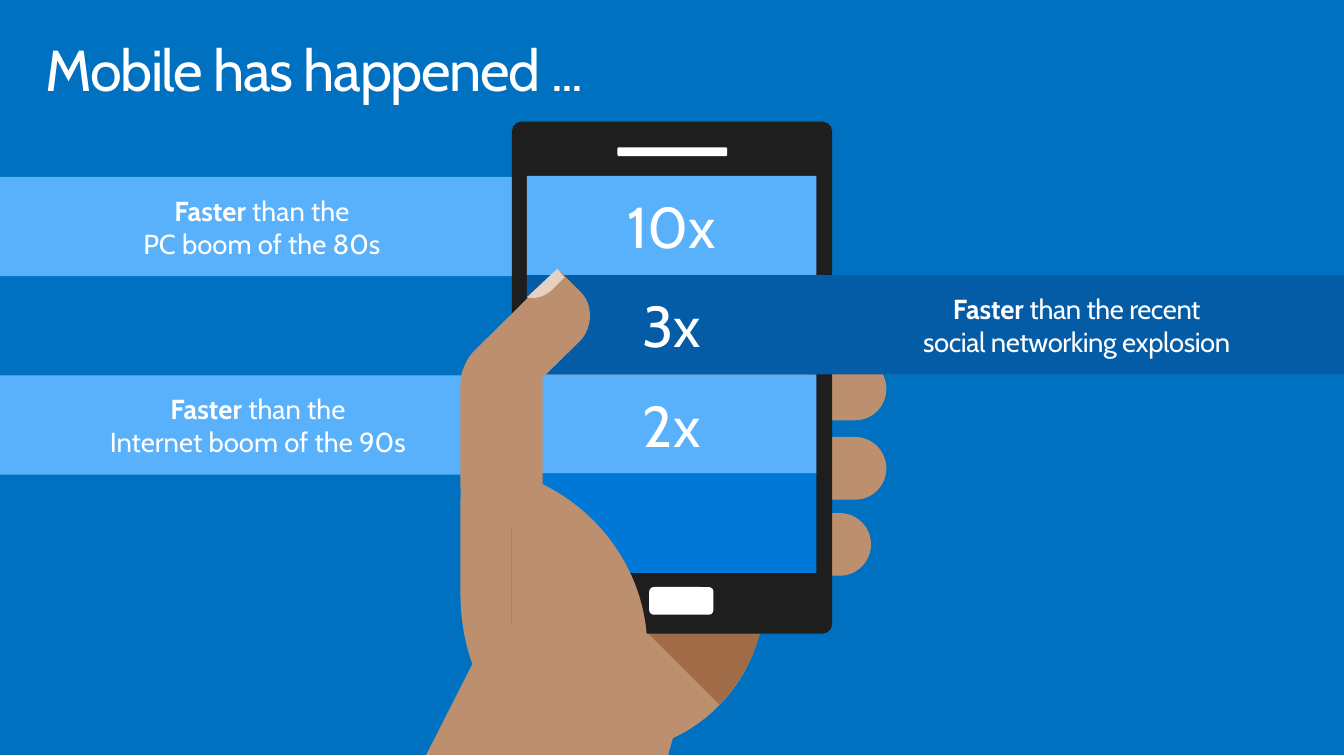
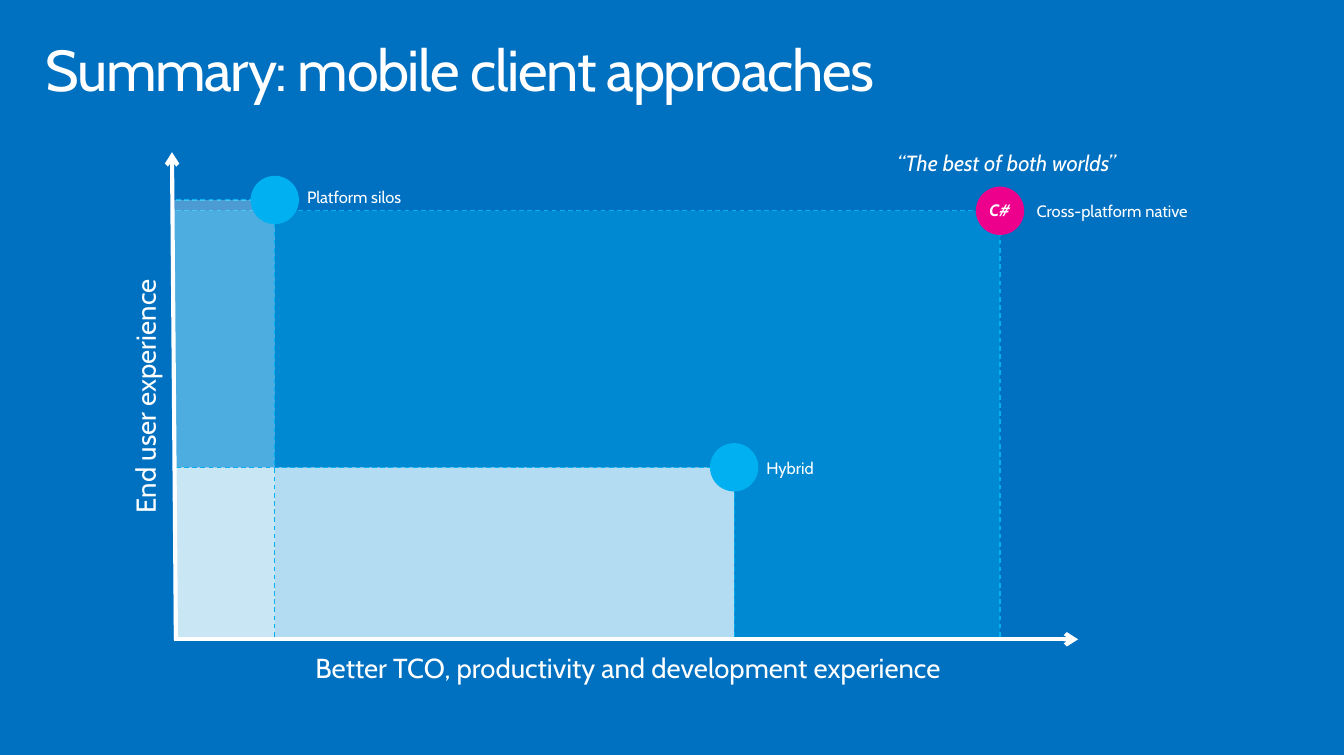
"""Build two slides: the rise of mobile and a summary of mobile client approaches."""
from lxml import etree
from pptx import Presentation
from pptx.dml.color import RGBColor
from pptx.enum.dml import MSO_LINE
from pptx.enum.shapes import MSO_CONNECTOR, MSO_SHAPE
from pptx.enum.text import MSO_ANCHOR, PP_ALIGN
from pptx.oxml.ns import qn
from pptx.util import Pt

RECT, ROUND, OVAL = MSO_SHAPE.RECTANGLE, MSO_SHAPE.ROUNDED_RECTANGLE, MSO_SHAPE.OVAL
STRAIGHT, DASH = MSO_CONNECTOR.STRAIGHT, MSO_LINE.DASH
LEFT, CENTER = PP_ALIGN.LEFT, PP_ALIGN.CENTER
TOP, MIDDLE = MSO_ANCHOR.TOP, MSO_ANCHOR.MIDDLE

THEME = {
    "font": "Cabin", "title": 42, "figure": 42, "body": 20, "quote": 16, "label": 12,
    "back": "0070C0", "white": "FFFFFF", "light": "59B0FB", "deep": "045BA6",
    "screen": "0078D7", "phone": "1E1E1E", "skin": "BC906F", "crease": "A06B47",
    "nail": "E5D0C1", "cyan": "00B0F0", "pink": "EC008C",
}


def paint(sp, fill, alpha=None):
    sp.shadow.inherit = False
    sp.fill.solid()
    sp.fill.fore_color.rgb = RGBColor.from_string(THEME[fill])
    sp.line.fill.background()
    if alpha:
        color = sp._element.spPr.find(qn("a:solidFill"))[0]
        etree.SubElement(color, qn("a:alpha"), val=str(alpha * 1000))
    return sp


def write(sp, lines, size, align=CENTER, anchor=MIDDLE, inset=(0, 0), leading=1.0, **font):
    tf = sp.text_frame
    frame = {"word_wrap": True, "vertical_anchor": anchor,
             "margin_left": Pt(inset[0]), "margin_right": Pt(inset[0]),
             "margin_top": Pt(inset[1]), "margin_bottom": Pt(inset[1])}
    for name, value in frame.items():
        setattr(tf, name, value)
    p = tf.paragraphs[0]
    p.alignment, p.line_spacing = align, leading
    for i, line in enumerate(lines):
        if i:
            p.add_line_break()
        for text, bold, spacing in line:
            r = p.add_run()
            r.text = text
            values = {"name": THEME["font"], "size": Pt(THEME[size]), "bold": bold, **font}
            for name, value in values.items():
                setattr(r.font, name, value)
            r.font.color.rgb = RGBColor.from_string(THEME["white"])
            if spacing:
                r.font._element.set("spc", str(spacing))


prs = Presentation()
prs.slide_width, prs.slide_height = Pt(979.2), Pt(550.08)

slides = []
for title in ("Mobile has happened ...", "Summary: mobile client approaches"):
    s = prs.slides.add_slide(prs.slide_layouts[6])
    s.background.fill.solid()
    s.background.fill.fore_color.rgb = RGBColor.from_string(THEME["back"])
    sp = s.shapes.add_textbox(Pt(21.6), Pt(23), Pt(936), Pt(72))
    write(sp, [[(title, False, -100)]], "title", LEFT, TOP, (11.5, 7.2), 0.9)
    slides.append(s)
boom, summary = slides

ROW_TOP, ROW_STEP = 128.2, 72.3
bands = [
    (RECT, (left, ROW_TOP + row * ROW_STEP + shift, width, ROW_STEP), fill,
     {"lines": [[("Faster", True, bold_spacing), (first, False, spacing)],
                [(second, False, spacing)]],
      "size": "body", "inset": (14.4, 3.6)})
    for left, width, row, shift, fill, first, second, bold_spacing, spacing in (
        (0, 375.8, 2, 0.7, "light", " than the", "Internet boom of the 90s", 0, 0),
        (0, 381.6, 0, 0.7, "light", " than the", "PC boom of the 80s", 0, 0),
        (589.7, 389.5, 1, 0, "deep", " than the recent", "social networking explosion", -10, -30),
    )
]
screen = [
    (RECT, (383.8, ROW_TOP + row * ROW_STEP, 211, ROW_STEP), fill,
     {"lines": [[(figure, False, 0)]], "size": "figure", "inset": (0, 3.6)} if figure else None)
    for row, (fill, figure) in enumerate(
        (("light", "10x"), ("deep", "3x"), ("light", "2x"), ("screen", "")))
]
fingers = [
    (ROUND, (left, top, width, 45.7), "skin", 0.5)
    for left, top, width in ((541.4, 260.6, 104.4), (541.4, 318.4, 104.4), (583.2, 373.8, 51.4))
]
palm = [
    (None, [(273.6, 622.8), (344.2, 483.8), (338.4, 468, 335.5, 450, 335.5, 431.3),
            (335.5, 367.9), (335.5, 302.4, 372.2, 249.1, 438.5, 249.1),
            (504, 249.1, 557.3, 302.4, 557.3, 367.9), (557.3, 431.3),
            (557.3, 478.1, 530.6, 519.1, 490.3, 537.8), (465.8, 622.8)], "skin", None),
    (None, [(524.2, 513.4), (471.6, 460.8), (553.7, 460.8),
            (548.6, 481, 537.8, 499, 524.2, 513.4)], "crease", None),
]
phone = [
    (ROUND, (373, 88.6, 233.3, 373), "phone", 0.03),
    (ROUND, (449.9, 107.3, 79.9, 6.5), "white", None),
    (ROUND, (473, 427.7, 46.8, 20.2), "white", None),
]
thumb = [
    (None, [(373.2, 344.2), (429.8, 360.7, 471.6, 412.6, 471.6, 473),
            (471.6, 534.2, 429.8, 585.4, 373.2, 601.2)], "skin", None),
    (None, [(423.4, 213.1), (432, 221.8, 432, 237.6, 423.4, 247.7), (379.4, 290.9),
            (369.4, 300.2, 354.2, 300.2, 344.9, 290.9),
            (335.5, 280.8, 335.5, 265.7, 344.9, 256.3), (406.1, 195.8)], "skin", None),
    (None, [(335.5, 355), (335.5, 371.5, 349.2, 385.2, 365, 385.2),
            (381.6, 385.2, 395.3, 392.4, 395.3, 375.1), (395.3, 259.2),
            (395.3, 242.6, 381.6, 249.1, 365, 249.1),
            (349.2, 249.1, 335.5, 262.8, 335.5, 279.4)], "skin", None),
    (None, [(406.1, 195.8), (411.1, 202.3), (402.5, 211),
            (396.7, 216, 391, 218.2, 383.8, 216.7)], "nail", None),
]

for kind, outline, fill, detail in bands[:2] + fingers + palm + phone + screen + thumb + bands[2:]:
    if kind is not None:
        sp = paint(boom.shapes.add_shape(kind, *map(Pt, outline)), fill)
        if kind == ROUND and detail:
            sp.adjustments[0] = detail
        elif detail:
            write(sp, **detail)
        continue
    corners = [(Pt(step[i]), Pt(step[i + 1])) for step in outline for i in range(0, len(step), 2)]
    pen = boom.shapes.build_freeform(*corners[0])
    pen.add_line_segments(corners[1:], close=True)
    sp = paint(pen.convert_to_shape(), fill)
    segments = iter(list(sp._element.iter(qn("a:lnTo"))))
    for step in outline[1:]:
        segment = next(segments)
        if len(step) == 6:
            curve = etree.Element(qn("a:cubicBezTo"))
            segment.addprevious(curve)
            for part in (segment, next(segments), next(segments)):
                curve.append(part[0])
                part.getparent().remove(part)

ORIGIN_X, ORIGIN_Y, DOT = 126.7, 465.8, 35.2
approaches = [
    (728.6, 153.6, "pink", "C#", "Cross-platform native", (748.1, 146.2, 124.6)),
    (200.2, 145.7, "cyan", "", "Platform silos", (217.4, 136.1, 81.4)),
    (534.9, 340.5, "cyan", "", "Hybrid", (552.2, 333.4, 46.8)),
]
native, silos, hybrid = [(x, y) for x, y, *_ in approaches]
across, down = [
    [((ORIGIN_X + 1.5, y, x - DOT / 2, y), "cyan", 0.85) for x, y in (native, silos, hybrid)],
    [((x, ORIGIN_Y - 2, x, y + DOT / 2), "cyan", 0.85) for x, y in (native, silos, hybrid)],
]
axes = [((128.2, 466.6, 125.3, 110.9), "white", 3),
        ((ORIGIN_X, ORIGIN_Y, 785.5, ORIGIN_Y), "white", 3)]
layers = [
    (native, "cyan", 40, [across[0], down[0], across[1]]),
    (silos, "white", 30, []),
    (hybrid, "white", 70, [down[2], across[2], down[1]] + axes),
]

for (x, y), fill, alpha, lines in layers:
    box = (ORIGIN_X, y, x - ORIGIN_X, ORIGIN_Y - y)
    paint(summary.shapes.add_shape(RECT, *map(Pt, box)), fill, alpha)
    for ends, color, width in lines:
        sp = summary.shapes.add_connector(STRAIGHT, *map(Pt, ends))
        sp.line.color.rgb = RGBColor.from_string(THEME[color])
        sp.line.width = Pt(width)
        if color == "cyan":
            sp.line.dash_style = DASH
        else:
            etree.SubElement(sp.line._get_or_add_ln(), qn("a:tailEnd"), type="arrow")
        etree.SubElement(sp._element.spPr, qn("a:effectLst"))

captions = [
    ("Better TCO, productivity and development experience", "body", (128.9, 474.5, 657.4, 24.5), 0, TOP, False),
    ("End user experience", "body", (-72, 276.5, 355.7, 24.5), 270, TOP, False),
    ("“The best of both worlds”", "quote", (636.5, 108.9, 193.7, 19.4), 0, MIDDLE, True),
]
for x, y, color, mark, label, (left, top, width) in approaches:
    box = (x - DOT / 2, y - DOT / 2, DOT, DOT)
    sp = paint(summary.shapes.add_shape(OVAL, *map(Pt, box)), color)
    if mark:
        write(sp, [[(mark, True, 0)]], "label", leading=0.9, italic=True)
    captions.append((label, "label", (left, top, width, 14.4), 0, MIDDLE, False))

for text, size, box, turn, anchor, italic in captions:
    sp = summary.shapes.add_textbox(*map(Pt, box))
    sp.rotation = turn
    write(sp, [[(text, False, 0)]], size, anchor=anchor, italic=italic)

prs.save("out.pptx")
